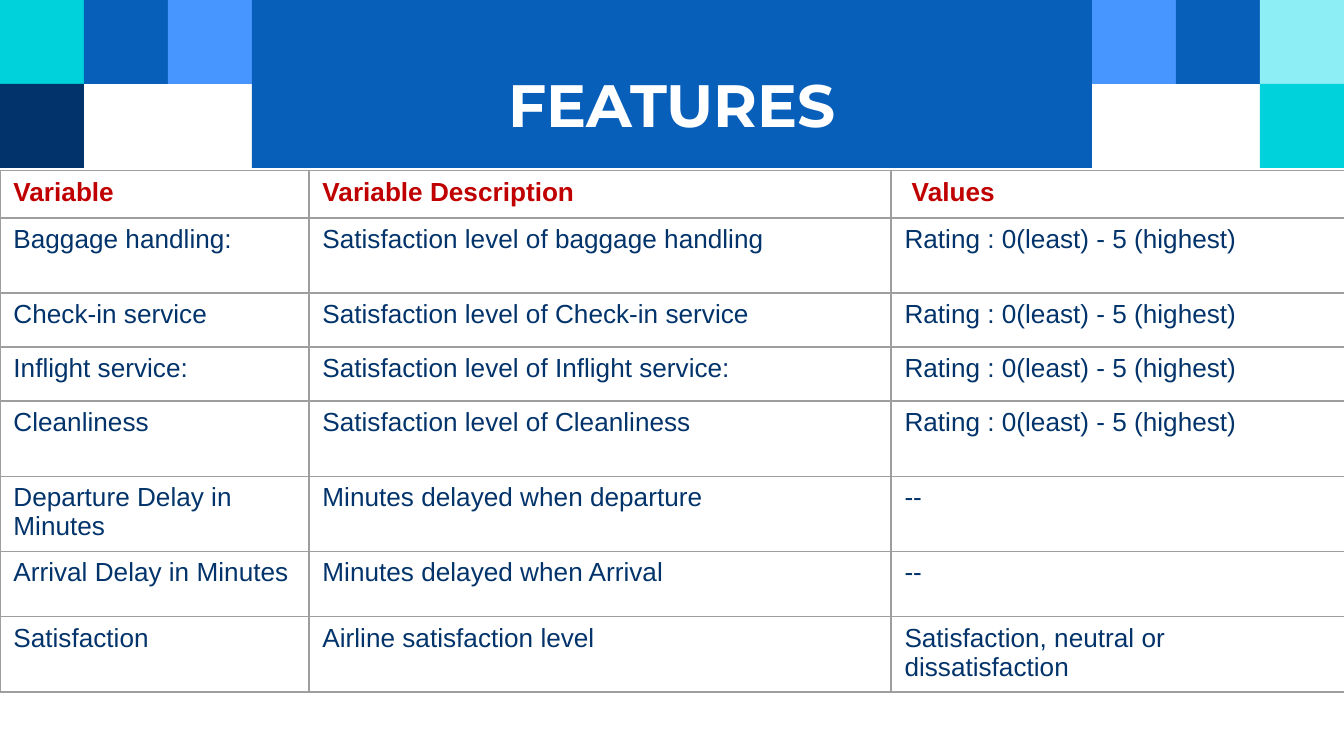
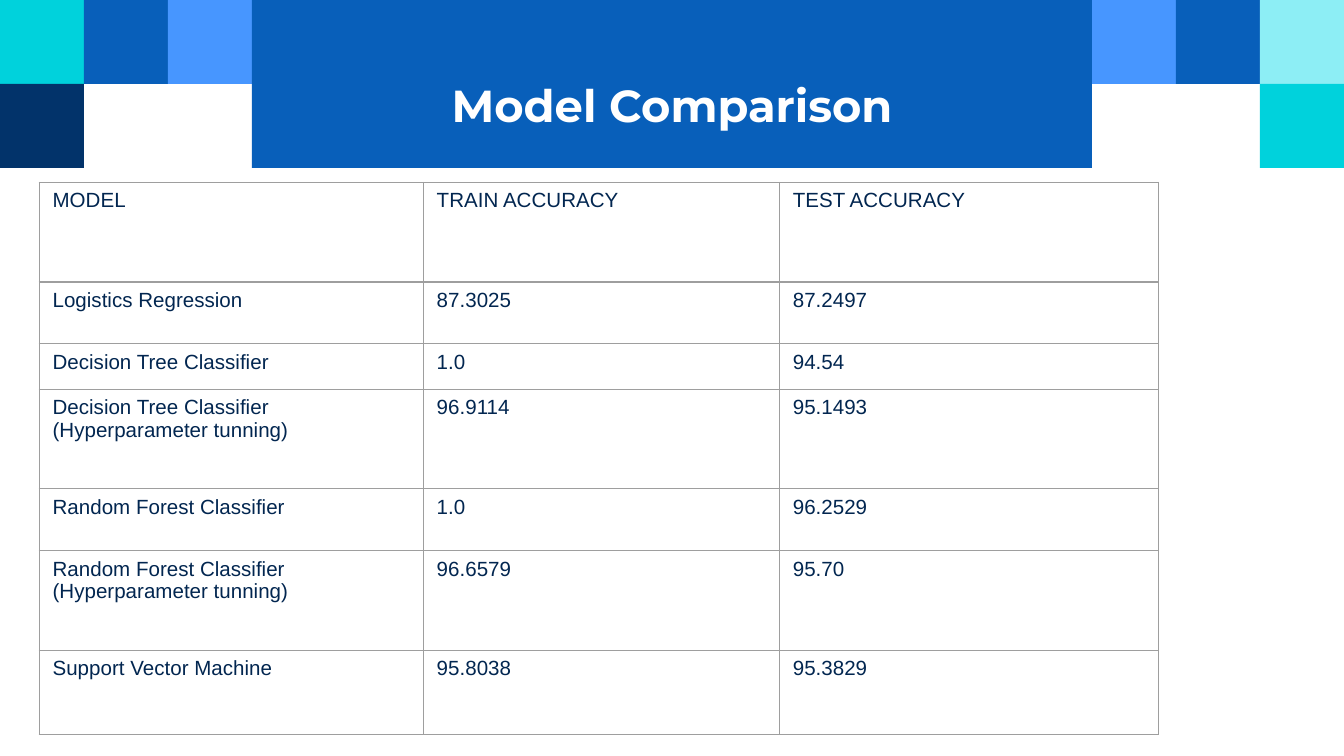
"""Builds two slides of tables under a shared banner of coloured squares."""
from lxml import etree
from pptx import Presentation, util as u
from pptx.dml.color import RGBColor
from pptx.enum import shapes, text
from pptx.oxml.ns import qn

BLUE, NAVY, SKY = "085FBA", "02336A", "4796FF"
CYAN, PALE, WHITE = "00D2DC", "8DEEF5", "FFFFFF"
RED, INK, GRID = "C00000", "022650", "9E9E9E"
WIDTH, HEIGHT = 25.4, 14.29
SQUARE = WIDTH / 16
SQUARES = [
    (0, 0, CYAN), (1, 0, BLUE), (2, 0, SKY), (0, 1, NAVY),
    (13, 0, SKY), (14, 0, BLUE), (15, 0, PALE), (15, 1, CYAN),
]
RATING = "Rating : 0(least) - 5 (highest)"

FEATURES = [
    ("Variable", "Variable Description", " Values"),
    ("Baggage handling:", "Satisfaction level of baggage handling", RATING),
    ("Check-in service", "Satisfaction level of Check-in service", RATING),
    ("Inflight service:", "Satisfaction level of Inflight service:", RATING),
    ("Cleanliness", "Satisfaction level of Cleanliness", RATING),
    ("Departure Delay in Minutes", "Minutes delayed when departure", "--"),
    ("Arrival Delay in Minutes", "Minutes delayed when Arrival", "--"),
    ("Satisfaction", "Airline satisfaction level",
     "Satisfaction, neutral or dissatisfaction"),
]
FEATURE_COLS = [5.84, 11, 8.61]
FEATURE_ROWS = [0.89, 1.42, 1.02, 1.02, 1.42, 1.42, 1.24, 1.42]

MODELS = [
    ("MODEL", "TRAIN ACCURACY", "TEST ACCURACY"),
    ("Logistics Regression", "87.3025", "87.2497"),
    ("Decision Tree Classifier", "1.0", "94.54"),
    ("Decision Tree Classifier\n(Hyperparameter tunning)", "96.9114", "95.1493"),
    ("Random Forest Classifier", "1.0", "96.2529"),
    ("Random Forest Classifier\n(Hyperparameter tunning)", "96.6579", "95.70"),
    ("Support Vector Machine", "95.8038", "95.3829"),
]
MODEL_COLS = [7.26, 6.73, 7.16]
MODEL_ROWS = [1.88, 1.17, 0.86, 1.88, 1.17, 1.88, 1.6]


def rgb(code):
    """Turn a hex string into a colour."""
    return RGBColor.from_string(code)


def add_run(p, words, size, color, font="Arial", bold=False):
    """Add one styled run to a paragraph."""
    r = p.add_run()
    r.text = words
    r.font.size = u.Pt(size)
    r.font.name = font
    r.font.bold = bold
    r.font.color.rgb = rgb(color)


def add_block(s, left, top, width, height, color):
    """Add a plain filled rectangle."""
    sp = s.shapes.add_shape(shapes.MSO_SHAPE.RECTANGLE,
                            u.Cm(left), u.Cm(top), u.Cm(width), u.Cm(height))
    sp.shadow.inherit = False
    sp.fill.solid()
    sp.fill.fore_color.rgb = rgb(color)
    sp.line.fill.background()
    return sp


def add_banner(s, title, size):
    """Add the squares and the title band."""
    for col, row, color in SQUARES:
        add_block(s, col * SQUARE, row * SQUARE, SQUARE, SQUARE, color)
    sp = add_block(s, 3 * SQUARE, 0, 10 * SQUARE, 2 * SQUARE, BLUE)
    tf = sp.text_frame
    tf.word_wrap = True
    tf.vertical_anchor = text.MSO_ANCHOR.MIDDLE
    tf.margin_top, tf.margin_bottom = u.Cm(0.76), 0
    p = tf.paragraphs[0]
    p.alignment = text.PP_ALIGN.CENTER
    add_run(p, title, size, WHITE, "Montserrat", True)


def set_borders(cell):
    """Draw thin grey lines on all four sides of a cell."""
    tc_pr = cell._tc.get_or_add_tcPr()
    for i, side in enumerate(("a:lnL", "a:lnR", "a:lnT", "a:lnB")):
        ln = etree.Element(qn(side), w=str(u.Pt(0.75)))
        fill = etree.SubElement(ln, qn("a:solidFill"))
        etree.SubElement(fill, qn("a:srgbClr"), val=GRID)
        tc_pr.insert(i, ln)


def fill_cell(cell, words, size, color, bold, align):
    """Write the lines of a cell and style it."""
    cell.fill.background()
    set_borders(cell)
    tf = cell.text_frame
    for i, line in enumerate(words.split("\n")):
        p = tf.add_paragraph() if i else tf.paragraphs[0]
        p.alignment = align
        add_run(p, line, size, color, bold=bold)


def add_grid(s, left, top, cols, rows, data, size, color,
             head_color, head_bold, align):
    """Add a bordered table with a header row."""
    frame = s.shapes.add_table(len(rows), len(cols), u.Cm(left), u.Cm(top),
                               u.Cm(sum(cols)), u.Cm(sum(rows)))
    table = frame.table
    table.first_row = table.horz_banding = False
    for column, width in zip(table.columns, cols):
        column.width = u.Cm(width)
    for i, (row, height) in enumerate(zip(table.rows, rows)):
        row.height = u.Cm(height)
        for cell, words in zip(row.cells, data[i]):
            fill_cell(cell, words, size, color if i else head_color,
                      head_bold and i == 0, align)


def add_slide(prs, title, size):
    """Add a blank slide with its banner."""
    s = prs.slides.add_slide(prs.slide_layouts[6])
    add_banner(s, title, size)
    return s


def main():
    """Build and save the deck."""
    prs = Presentation()
    prs.slide_width, prs.slide_height = u.Cm(WIDTH), u.Cm(HEIGHT)
    s = add_slide(prs, "FEATURES", 32)
    add_grid(s, 0, 3.23, FEATURE_COLS, FEATURE_ROWS, FEATURES, 14, NAVY,
             RED, True, text.PP_ALIGN.LEFT)
    s = add_slide(prs, "Model Comparison", 24)
    add_grid(s, 0.74, 3.45, MODEL_COLS, MODEL_ROWS, MODELS, 11, INK,
             INK, False, text.PP_ALIGN.JUSTIFY)
    prs.save("out.pptx")


if __name__ == "__main__":
    main()
